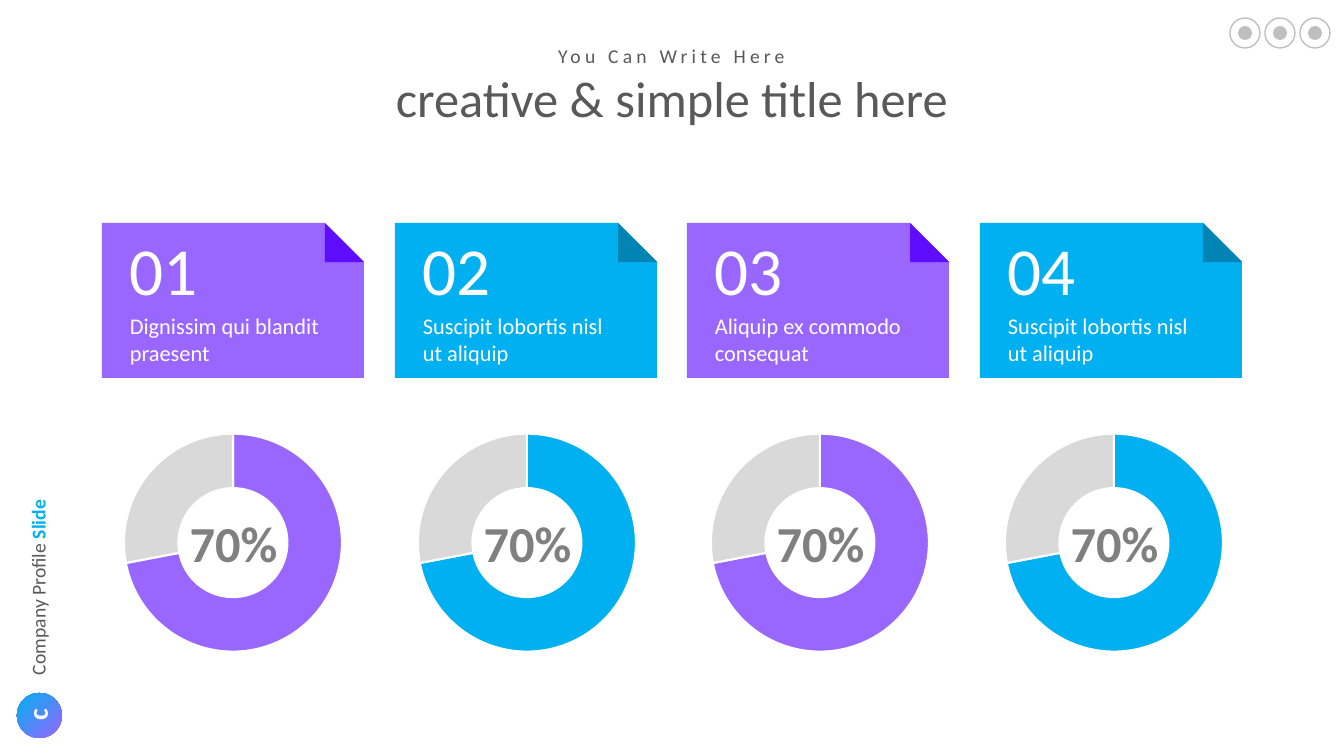
from dataclasses import dataclass

from lxml import etree
from pptx import Presentation
from pptx.chart.data import CategoryChartData
from pptx.dml.color import RGBColor
from pptx.enum.chart import XL_CHART_TYPE
from pptx.enum.shapes import MSO_SHAPE
from pptx.enum.text import MSO_ANCHOR, MSO_AUTO_SIZE, PP_ALIGN
from pptx.oxml import parse_xml
from pptx.oxml.ns import nsdecls, qn
from pptx.util import Pt

DOUGHNUT = XL_CHART_TYPE.DOUGHNUT
OVAL, FOLD = MSO_SHAPE.OVAL, MSO_SHAPE.RIGHT_TRIANGLE
LEFT, CENTER = PP_ALIGN.LEFT, PP_ALIGN.CENTER
TOP = MSO_ANCHOR.TOP
NO_FIT, GROW = MSO_AUTO_SIZE.NONE, MSO_AUTO_SIZE.SHAPE_TO_FIT_TEXT
EMU_PER_PX = 914400 / 100.8


@dataclass(frozen=True)
class Theme:
    font: str = "Calibri"
    purple: str = "9966FF"
    deep_purple: str = "5E0DFF"
    blue: str = "00B0F0"
    deep_blue: str = "0084B4"
    dark: str = "595959"
    mid: str = "808080"
    pale: str = "D9D9D9"
    icon: str = "BFBFBF"
    white: str = "FFFFFF"
    number: int = 48
    heading: int = 36
    badge: int = 20
    body: int = 16
    small: int = 14
    chart: int = 10


THEME = Theme()
CARDS = [
    ("01", "Dignissim qui blandit praesent"),
    ("02", "Suscipit lobortis nisl ut aliquip"),
    ("03", "Aliquip ex commodo consequat"),
    ("04", "Suscipit lobortis nisl ut aliquip"),
]
CARD_COLORS = [(THEME.purple, THEME.deep_purple), (THEME.blue, THEME.deep_blue)]
SHARES = (72, 28)


def px(*lengths):
    return [round(length * EMU_PER_PX) for length in lengths]


def rgb(code):
    return RGBColor.from_string(code)


def spread(first, last, index):
    """Position of one of the evenly spaced columns."""
    return round(first + (last - first) * index / (len(CARDS) - 1))


def set_all(target, values):
    for name, value in values.items():
        setattr(target, name, value)


def fill_text(box, spans, size, align=LEFT, wrap=False, fit=GROW, spacing=None):
    """Write (text, colour, bold) spans as one paragraph."""
    frame = box.text_frame
    set_all(frame, {"word_wrap": wrap, "auto_size": fit, "vertical_anchor": TOP})
    para = frame.paragraphs[0]
    set_all(para, {"alignment": align, "line_spacing": spacing})
    for text, color, bold in spans:
        span = para.add_run()
        span.text = text
        set_all(span.font, {"name": THEME.font, "size": Pt(size), "bold": bold})
        span.font.color.rgb = rgb(color)


def add_text(page, bounds, spans, size, rotation=0, **layout):
    box = page.shapes.add_textbox(*px(*bounds))
    box.rotation = rotation
    fill_text(box, spans, size, **layout)
    return box


def paint(shape, color):
    shape.shadow.inherit = False
    shape.fill.solid()
    shape.fill.fore_color.rgb = rgb(color)
    shape.line.fill.background()


def add_preset(page, kind, bounds, color):
    shape = page.shapes.add_shape(kind, *px(*bounds))
    paint(shape, color)
    return shape


def add_card(page, left, number, caption, color, fold_color):
    top, width, height, fold = 223, 262, 155, 39
    right, bottom = left + width, top + height
    outline = [(right - fold, top), (right, top + fold), (right, bottom), (left, bottom)]
    builder = page.shapes.build_freeform(*px(left, top))
    builder.add_line_segments([px(*point) for point in outline], close=True)
    paint(builder.convert_to_shape(), color)
    add_preset(page, FOLD, (right - fold, top, fold, fold), fold_color)
    add_text(page, (left + 18, top, 90, 92), [(number, THEME.white, False)], THEME.number)
    add_text(page, (left + 18, 307, 212, 65), [(caption, THEME.white, False)],
             THEME.body, wrap=True)


def set_ring_layout(chart):
    """Place the ring inside its frame and set the hole size."""
    area = chart._chartSpace.chart.plotArea
    for layout in area.findall(qn("c:layout")):
        area.remove(layout)
    layout = parse_xml(f"<c:layout {nsdecls('c')}><c:manualLayout/></c:layout>")
    values = {"layoutTarget": "inner", "xMode": "edge", "yMode": "edge",
              "x": 0.2, "y": 0.06, "w": 0.6, "h": 0.89}
    for name, value in values.items():
        etree.SubElement(layout[0], qn(f"c:{name}")).set("val", str(value))
    area.insert(0, layout)
    for hole in area.iter(qn("c:holeSize")):
        hole.set("val", "75")


def add_ring(page, center, color):
    data = CategoryChartData()
    data.categories = ["1", "2"]
    data.add_series("Series 1", SHARES)
    chart = page.shapes.add_chart(DOUGHNUT, *px(center - 184, 419, 368, 245), data).chart
    set_all(chart, {"has_legend": False, "has_title": False})
    set_all(chart.font, {"name": THEME.font, "size": Pt(THEME.chart)})
    plot = chart.plots[0]
    plot.vary_by_categories = True
    for index, slice_color in enumerate((color, THEME.pale)):
        look = plot.series[0].points[index].format
        look.fill.solid()
        look.fill.fore_color.rgb = rgb(slice_color)
        look.line.color.rgb = rgb(THEME.white)
        look.line.width = Pt(1.5)
    set_ring_layout(chart)
    add_text(page, (center - 54, 507, 109, 72), [("70%", THEME.mid, True)],
             THEME.heading, align=CENTER)


def add_heading(page):
    subtitle = add_text(page, (545, 39, 253, 34),
                        [("You Can Write Here", THEME.dark, False)], THEME.small, align=CENTER)
    subtitle.text_frame.paragraphs[0].runs[0].font._element.set("spc", "300")
    title = page.shapes.title
    left, top, width, height = px(241, 69, 862, 66)
    set_all(title, {"left": left, "top": top, "width": width, "height": height})
    fill_text(title, [("creative & simple title here", THEME.dark, False)], THEME.heading,
              align=CENTER, wrap=True, fit=NO_FIT, spacing=0.9)


def add_side_label(page):
    badge = add_preset(page, OVAL, (17, 693, 45, 45), THEME.blue)
    badge.fill.gradient()
    badge.fill.gradient_angle = 135
    for stop, color in zip(badge.fill.gradient_stops, (THEME.purple, THEME.blue)):
        stop.color.rgb = rgb(color)
    add_text(page, (21, 693, 32, 44), [("c", THEME.white, True)], THEME.badge,
             rotation=270, align=CENTER)
    add_text(page, (-60, 570, 196, 34),
             [("Company Profile ", THEME.dark, False), ("Slide", THEME.blue, True)],
             THEME.small, rotation=270)


def add_icon(page, left):
    ring = add_preset(page, OVAL, (left, 18, 30, 30), THEME.white)
    ring.fill.background()
    ring.line.color.rgb = rgb(THEME.icon)
    ring.line.width = Pt(1)
    add_preset(page, OVAL, (left + 8, 26, 14, 14), THEME.icon)


def main():
    deck = Presentation()
    deck.slide_width, deck.slide_height = px(1344, 756)
    page = deck.slides.add_slide(deck.slide_layouts[5])
    add_heading(page)
    for index, (number, caption) in enumerate(CARDS):
        color, fold_color = CARD_COLORS[index % len(CARD_COLORS)]
        add_card(page, spread(102, 980, index), number, caption, color, fold_color)
        add_ring(page, spread(233, 1114, index), color)
    add_side_label(page)
    for index in range(3):
        add_icon(page, 1230 + 35 * index)
    deck.save("out.pptx")


if __name__ == "__main__":
    main()
